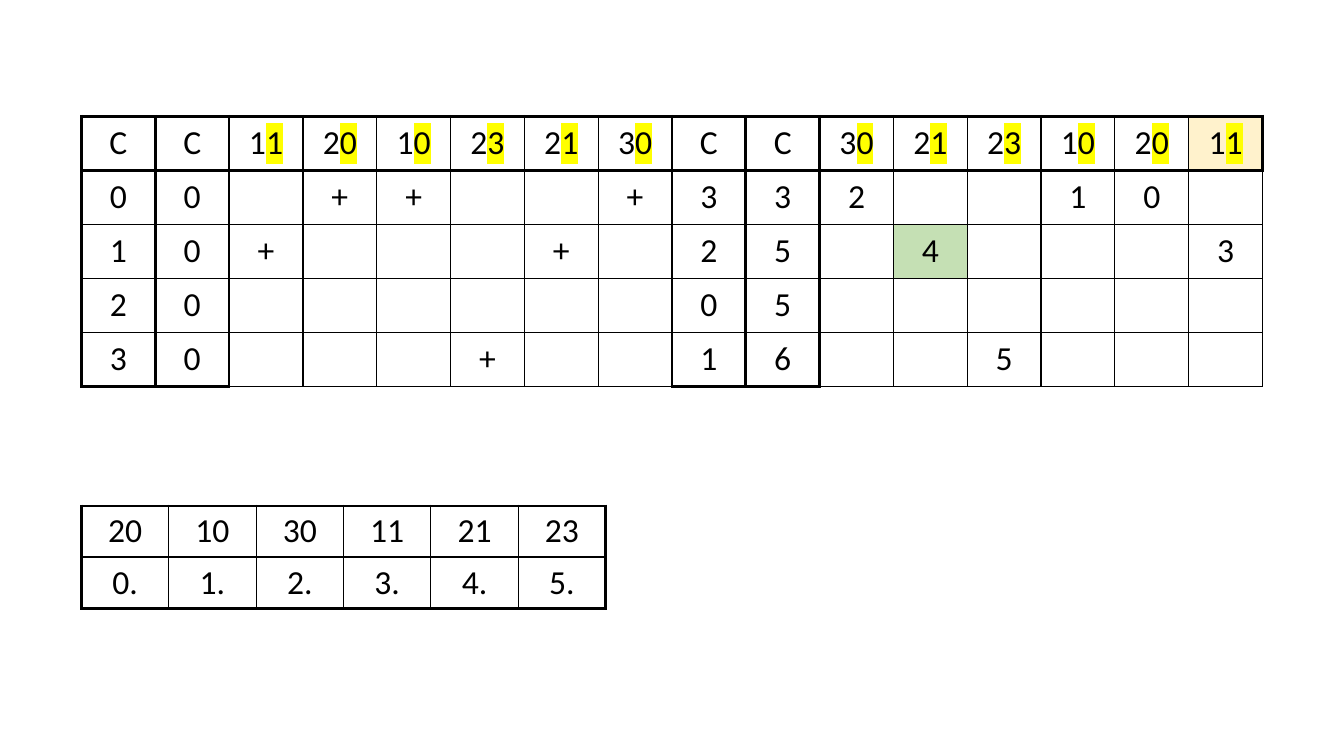
import pptx
import pptx.dml.color
import pptx.enum.text
import pptx.oxml.ns
import pptx.util
from lxml import etree

COLOURS = {
    "ink": "000000",
    "mark": "FFFF00",
    "last_column": "FFF2CC",
    "current": "C5E0B4",
}
THIN, THICK = 1, 2.25
HEADERS = "C C 11 20 10 23 21 30 C C 30 21 23 10 20 11".split()
COUNTS = [
    "0 0 . + + . . + 3 3 2 . . 1 0 .",
    "1 0 + . . . + . 2 5 . 4 . . . 3",
    "2 0 . . . . . . 0 5 . . . . . .",
    "3 0 . . . + . . 1 6 . . 5 . . .",
]
SORTED_NUMBERS = "20 10 30 11 21 23".split()


class SlideBuilder:
    font_name = "Calibri"
    font_size = 24

    def __init__(self, slide):
        self.slide = slide

    def rgb(self, name):
        return pptx.dml.color.RGBColor.from_string(COLOURS[name])

    def border(self, cell, side, width):
        properties = cell._tc.get_or_add_tcPr()
        line = etree.SubElement(
            properties, pptx.oxml.ns.qn(f"a:ln{side}"), w=str(pptx.util.Pt(width))
        )
        fill = etree.SubElement(line, pptx.oxml.ns.qn("a:solidFill"))
        etree.SubElement(fill, pptx.oxml.ns.qn("a:srgbClr"), val=COLOURS["ink"])

    def highlight(self, run):
        properties = run._r.get_or_add_rPr()
        mark = etree.SubElement(properties, pptx.oxml.ns.qn("a:highlight"))
        etree.SubElement(mark, pptx.oxml.ns.qn("a:srgbClr"), val=COLOURS["mark"])

    def cell_text(self, cell, text, split_digits):
        paragraph = cell.text_frame.paragraphs[0]
        paragraph.alignment = pptx.enum.text.PP_ALIGN.CENTER
        paragraph.font.name = self.font_name
        paragraph.font.size = pptx.util.Pt(self.font_size)
        paragraph.font.color.rgb = self.rgb("ink")
        if split_digits:
            paragraph.add_run().text = text[0]
            last_digit = paragraph.add_run()
            last_digit.text = text[1:]
            self.highlight(last_digit)
        elif text:
            paragraph.add_run().text = text

    def table(self, rows, top, size, margins, borders, fills, marked_row=None):
        column_width, row_height = map(pptx.util.Pt, size)
        grid = self.slide.shapes.add_table(
            len(rows), len(rows[0]), pptx.util.Pt(58.2), pptx.util.Pt(top),
            column_width * len(rows[0]), row_height * len(rows),
        ).table
        grid.first_row = grid.horz_banding = False
        for column in grid.columns:
            column.width = column_width
        for row in grid.rows:
            row.height = row_height
        for r, values in enumerate(rows):
            for c, text in enumerate(values):
                cell = grid.cell(r, c)
                cell.vertical_anchor = pptx.enum.text.MSO_ANCHOR.MIDDLE
                cell.margin_left = cell.margin_right = pptx.util.Pt(margins[0])
                cell.margin_top = cell.margin_bottom = pptx.util.Pt(margins[1])
                for side, is_thick in zip("LRTB", borders(r, c)):
                    self.border(cell, side, THICK if is_thick else THIN)
                if (r, c) in fills:
                    cell.fill.solid()
                    cell.fill.fore_color.rgb = self.rgb(fills[r, c])
                else:
                    cell.fill.background()
                self.cell_text(cell, text, r == marked_row and len(text) > 1)


def sorting_borders(row, column):
    thick_edges = {0, 1, 2, 8, 9, 10}
    if row == 0:
        thick_edges.add(len(HEADERS))
    closes_count = row == len(COUNTS) and HEADERS[column] == "C"
    return (
        column in thick_edges,
        column + 1 in thick_edges,
        row < 2,
        row == 0 or closes_count,
    )


def result_borders(row, column):
    return column == 0, column == len(SORTED_NUMBERS) - 1, row == 0, row == 1


def main():
    presentation = pptx.Presentation()
    presentation.slide_width = pptx.util.Pt(960)
    presentation.slide_height = pptx.util.Pt(540)
    builder = SlideBuilder(
        presentation.slides.add_slide(presentation.slide_layouts[6])
    )

    sorting_steps = [HEADERS] + [
        ["" if value == "." else value for value in line.split()] for line in COUNTS
    ]
    builder.table(
        sorting_steps, 83, (52.74, 38.6), (9.2, 4.6), sorting_borders,
        {(0, 15): "last_column", (2, 11): "current"}, marked_row=0,
    )

    positions = [f"{index}." for index in range(len(SORTED_NUMBERS))]
    builder.table(
        [SORTED_NUMBERS, positions], 361.4, (62.4, 36), (7.2, 3.6),
        result_borders, {},
    )
    presentation.save("out.pptx")


if __name__ == "__main__":
    main()
